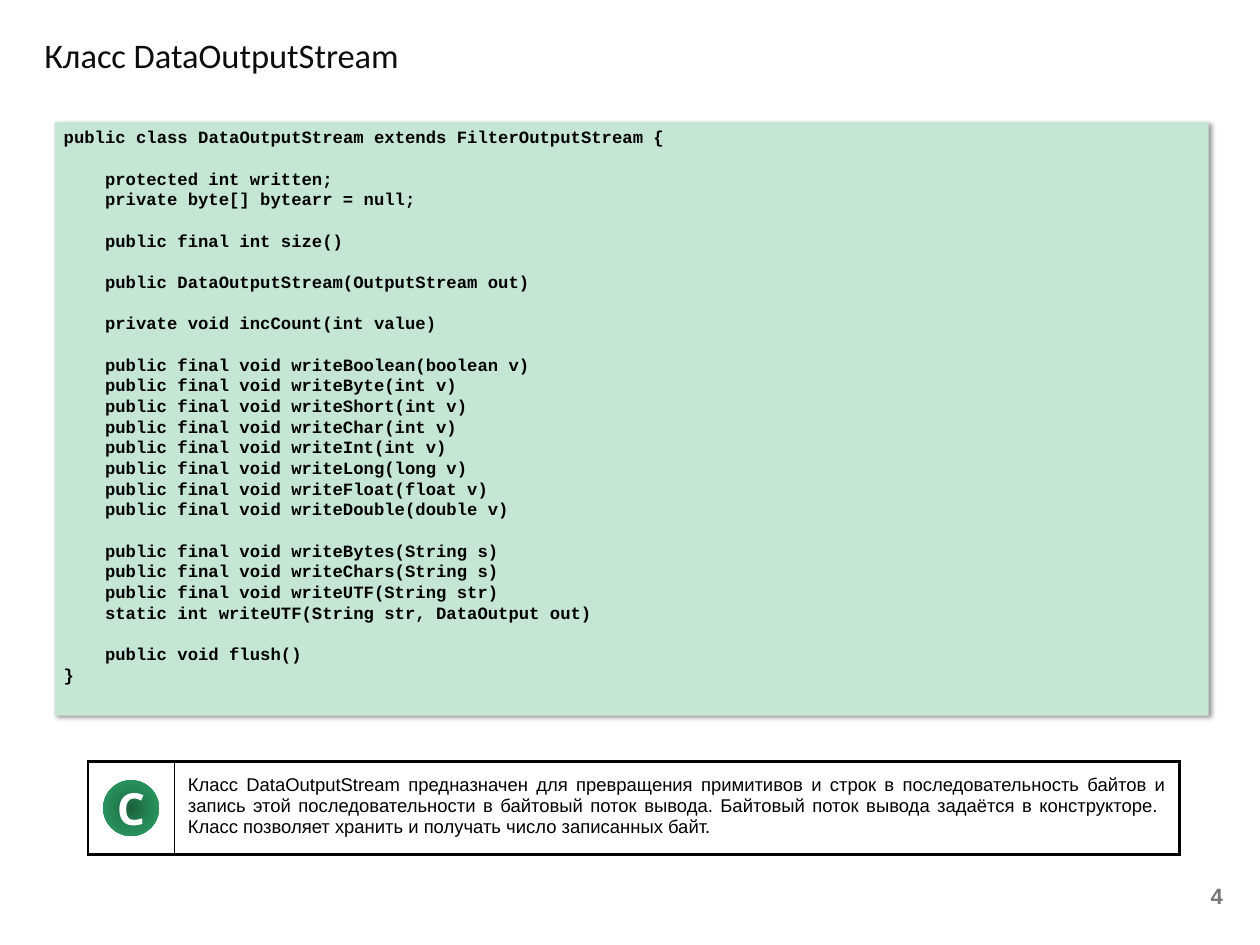
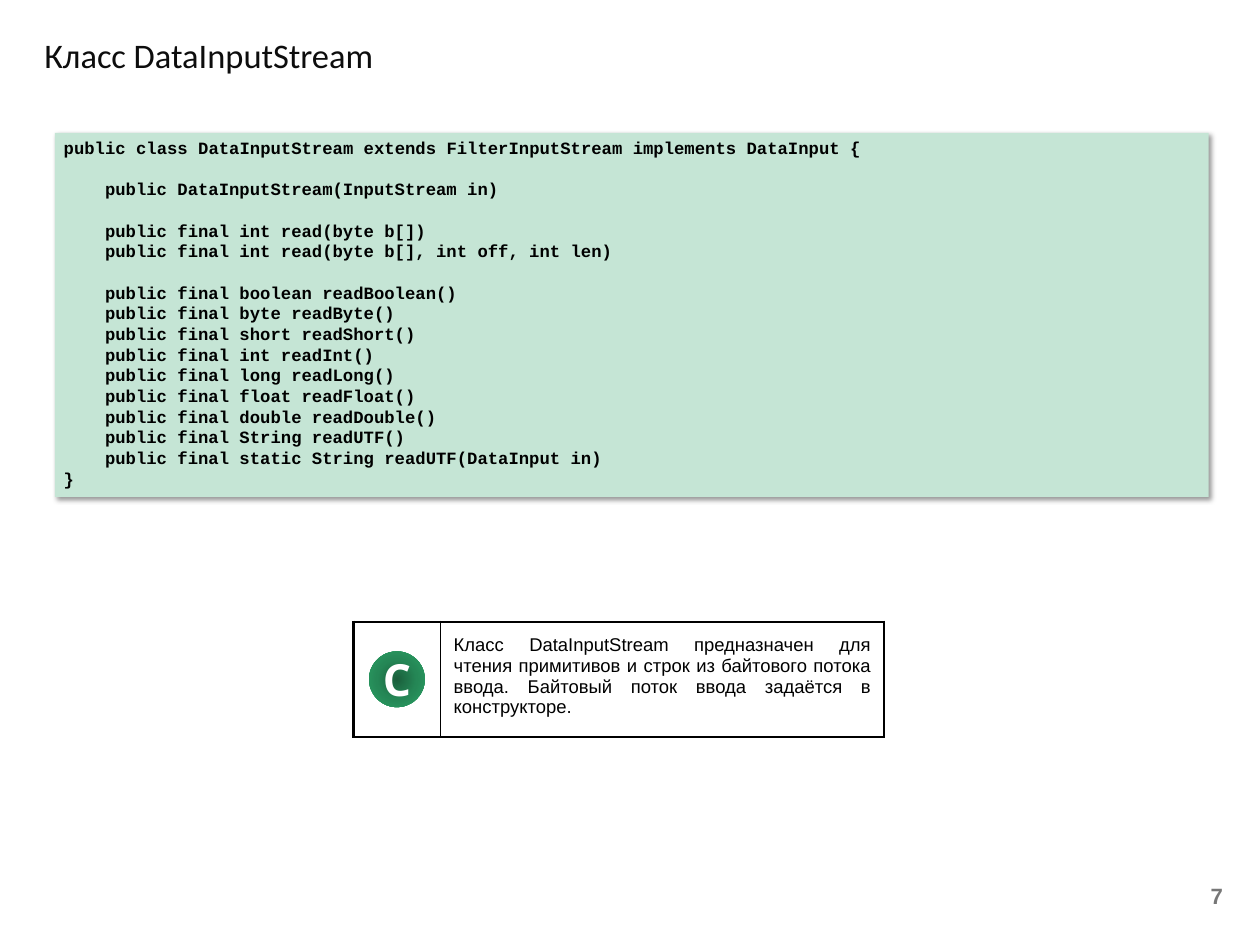
from lxml import etree
from pptx import Presentation
from pptx.dml.color import RGBColor
from pptx.enum.shapes import MSO_SHAPE
from pptx.enum.text import MSO_ANCHOR, MSO_AUTO_SIZE, PP_ALIGN
from pptx.oxml import parse_xml
from pptx.oxml.ns import nsdecls, qn
from pptx.util import Inches, Pt

RECT, OVAL = MSO_SHAPE.RECTANGLE, MSO_SHAPE.OVAL
LEFT, CENTER, RIGHT, JUST = PP_ALIGN.LEFT, PP_ALIGN.CENTER, PP_ALIGN.RIGHT, PP_ALIGN.JUSTIFY
MIDDLE, FIXED = MSO_ANCHOR.MIDDLE, MSO_AUTO_SIZE.NONE
HEX = {"ink": "000000", "title": "0D0D0D", "page": "777777", "code": "C5E5D5",
       "white": "FFFFFF", "deep": "1A5F3C", "mid": "258756", "rim": "2BA166"}
PITCH = Pt(16.8)
ICON, BADGE = 0.98, 0.63
THIN, THICK = 0.5, 2.25

WRITER = """public class DataOutputStream extends FilterOutputStream {

    protected int written;
    private byte[] bytearr = null;

    public final int size()

    public DataOutputStream(OutputStream out)

    private void incCount(int value)

    public final void writeBoolean(boolean v)
    public final void writeByte(int v)
    public final void writeShort(int v)
    public final void writeChar(int v)
    public final void writeInt(int v)
    public final void writeLong(long v)
    public final void writeFloat(float v)
    public final void writeDouble(double v)

    public final void writeBytes(String s)
    public final void writeChars(String s)
    public final void writeUTF(String str)
    static int writeUTF(String str, DataOutput out)

    public void flush()
}"""

READER = """public class DataInputStream extends FilterInputStream implements DataInput {

    public DataInputStream(InputStream in)

    public final int read(byte b[])
    public final int read(byte b[], int off, int len)

    public final boolean readBoolean()
    public final byte readByte()
    public final short readShort()
    public final int readInt()
    public final long readLong()
    public final float readFloat()
    public final double readDouble()
    public final String readUTF()
    public final static String readUTF(DataInput in)
}"""

SLIDES = [
    {"title": "Класс DataOutputStream", "page": "4", "code": WRITER,
     "panel": (0.62, 1.38, 13.02, 6.7), "box": (0.99, 8.6, 12.32, 1.05),
     "note": "Класс DataOutputStream предназначен для превращения примитивов и строк "
             "в последовательность байтов и запись этой последовательности в байтовый "
             "поток вывода. Байтовый поток вывода задаётся в конструкторе.  "
             "Класс позволяет хранить и получать число записанных байт."},
    {"title": "Класс DataInputStream", "page": "7", "code": READER,
     "panel": (0.62, 1.5, 13.02, 4.11), "box": (3.99, 7.02, 5.99, 1.3),
     "note": "Класс DataInputStream предназначен для чтения примитивов и строк "
             "из байтового потока ввода. Байтовый поток ввода задаётся в конструкторе."},
]


def inches(box):
    """Turn a box of numbers into lengths."""
    return [Inches(size) for size in box]


def style(para, face, size, color, bold=False, align=LEFT):
    """Set the font and alignment of a paragraph."""
    para.alignment = align
    font = para.font
    font.name, font.size, font.bold = face, Pt(size), bold
    font.color.rgb = RGBColor.from_string(HEX[color])


def add_head(slide, text):
    """Fill and place the title."""
    head = slide.shapes.title
    head.left, head.top, head.width, head.height = inches((0.4, 0.3, 11.03, 0.63))
    frame = head.text_frame
    frame.text = text
    frame.auto_size, frame.word_wrap = FIXED, False
    frame.vertical_anchor = MIDDLE
    style(frame.paragraphs[0], "Calibri", 28, "title")


def add_page(slide, text):
    """Put the page number at the lower right."""
    frame = slide.shapes.add_textbox(*inches((10.58, 9.85, 3.32, 0.53))).text_frame
    frame.word_wrap, frame.vertical_anchor = True, MIDDLE
    frame.text = text
    style(frame.paragraphs[0], "Arial", 18, "page", True, RIGHT)


def add_shadow(shape):
    """Give a shape a soft shadow to the lower right."""
    shape.shadow.inherit = False
    effects = shape._element.spPr.find(qn("a:effectLst"))
    effects.append(parse_xml(
        f'<a:outerShdw {nsdecls("a")} blurRad="{Pt(4)}" dist="{Pt(3)}" dir="2700000" '
        f'algn="tl" rotWithShape="0"><a:srgbClr val="{HEX["ink"]}">'
        '<a:alpha val="40000"/></a:srgbClr></a:outerShdw>'))


def add_code(slide, box, code):
    """Draw the code panel, with gaps and indents as paragraph settings."""
    panel = slide.shapes.add_shape(RECT, *inches(box))
    panel.fill.solid()
    panel.fill.fore_color.rgb = RGBColor.from_string(HEX["code"])
    panel.line.fill.background()
    add_shadow(panel)
    frame = panel.text_frame
    frame.word_wrap, frame.vertical_anchor = True, MSO_ANCHOR.TOP
    lines = code.split("\n")
    rows = [(line, i > 0 and not lines[i - 1]) for i, line in enumerate(lines) if line]
    for i, (line, gap) in enumerate(rows):
        para = frame.add_paragraph() if i else frame.paragraphs[0]
        para.text = line.strip()
        style(para, "Courier New", 14, "ink", True)
        para.line_spacing = PITCH
        para.space_before = PITCH if gap else Pt(0)
        if line.startswith(" "):
            para._p.get_or_add_pPr().set("marL", str(Pt(33.6)))


def add_edges(cell, widths):
    """Draw cell borders, given left, right, top and bottom widths."""
    props = cell._tc.get_or_add_tcPr()
    for side, width in zip("LRTB", widths):
        edge = etree.SubElement(props, qn(f"a:ln{side}"), w=str(Pt(width)))
        fill = etree.SubElement(edge, qn("a:solidFill"))
        etree.SubElement(fill, qn("a:srgbClr"), val=HEX["ink"])


def add_badge(slide, left, top):
    """Draw the round class badge."""
    badge = slide.shapes.add_shape(OVAL, *inches((left, top, BADGE, BADGE)))
    badge.shadow.inherit = False
    badge.line.fill.background()
    stops = "".join(f'<a:gs pos="{pos}"><a:srgbClr val="{HEX[key]}"/></a:gs>'
                    for pos, key in ((0, "deep"), (50000, "mid"), (100000, "rim")))
    badge._element.spPr.find(qn("a:prstGeom")).addnext(parse_xml(
        f'<a:gradFill {nsdecls("a")}><a:gsLst>{stops}</a:gsLst><a:path path="circle">'
        '<a:fillToRect l="50000" t="50000" r="50000" b="50000"/></a:path></a:gradFill>'))
    frame = badge.text_frame
    frame.margin_left = frame.margin_right = frame.margin_top = frame.margin_bottom = 0
    frame.vertical_anchor = MIDDLE
    frame.text = "C"
    style(frame.paragraphs[0], "Open Sans", 36, "white", True, CENTER)


def add_note(slide, box, text):
    """Draw the framed note with its badge."""
    left, top, width, height = box
    table = slide.shapes.add_table(1, 2, *inches(box)).table
    table.first_row = table.horz_banding = False
    table.columns[0].width = Inches(ICON)
    table.columns[1].width = Inches(width - ICON)
    icon, body = table.cell(0, 0), table.cell(0, 1)
    add_edges(icon, (THICK, THIN, THICK, THICK))
    add_edges(body, (THIN, THICK, THICK, THICK))
    for cell in (icon, body):
        cell.fill.solid()
        cell.fill.fore_color.rgb = RGBColor.from_string(HEX["white"])
    body.margin_left = body.margin_right = body.margin_top = body.margin_bottom = Inches(0.15)
    body.text = text
    para = body.text_frame.paragraphs[0]
    style(para, "Arial", 15, "ink", align=JUST)
    para.line_spacing = PITCH
    add_badge(slide, left + (ICON - BADGE) / 2, top + (height - BADGE) / 2)


def main():
    """Build and save the slides."""
    deck = Presentation()
    deck.slide_width, deck.slide_height = inches((14.22, 10.67))
    for data in SLIDES:
        slide = deck.slides.add_slide(deck.slide_layouts[5])
        add_head(slide, data["title"])
        add_page(slide, data["page"])
        add_code(slide, data["panel"], data["code"])
        add_note(slide, data["box"], data["note"])
    deck.save("out.pptx")


if __name__ == "__main__":
    main()
